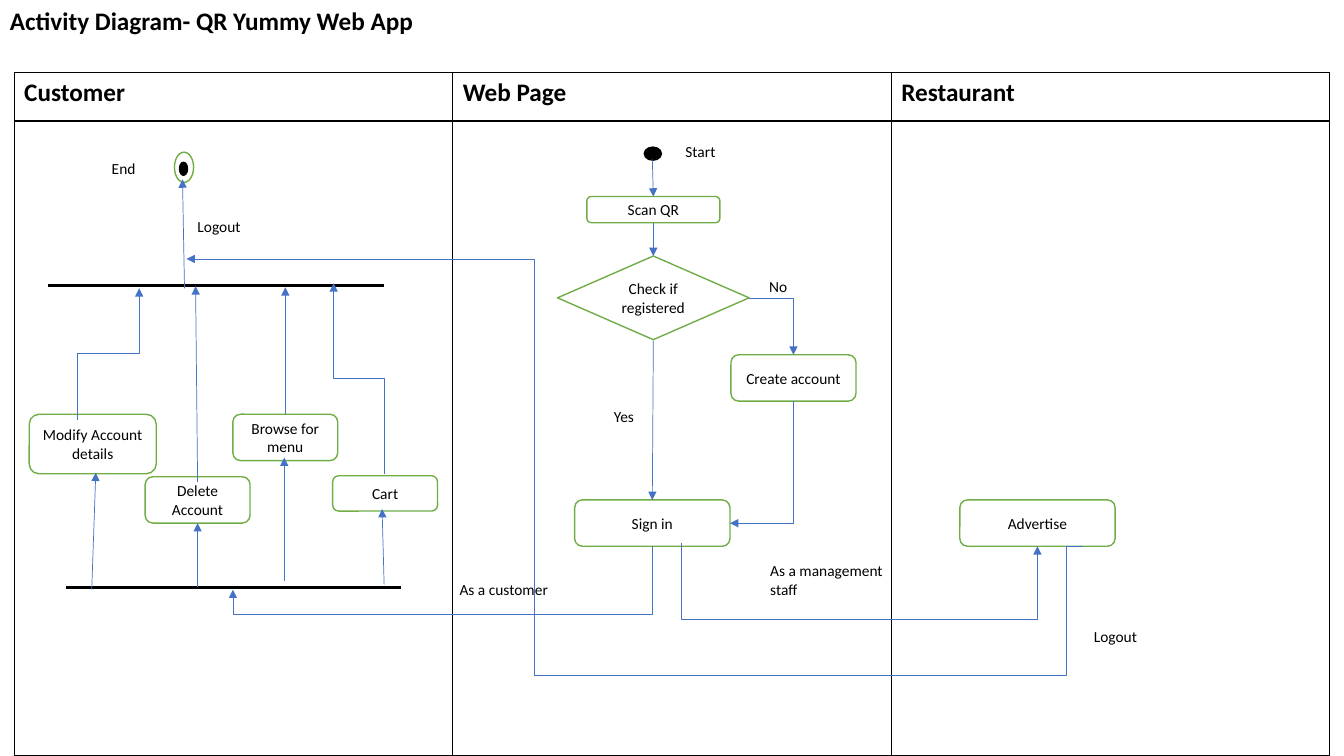
from lxml.etree import SubElement as Sub
from pptx import Presentation
from pptx.dml.color import RGBColor
from pptx.enum.shapes import MSO_CONNECTOR as Link, MSO_SHAPE as Kind
from pptx.enum.text import MSO_ANCHOR as Anchor, PP_ALIGN as Align
from pptx.oxml.ns import qn
from pptx.util import Inches, Pt

BLACK = RGBColor(0, 0, 0)
WHITE = RGBColor(255, 255, 255)
GREEN = RGBColor(0x70, 0xAD, 0x47)
BLUE = RGBColor(0x44, 0x72, 0xC4)
FONT = "Calibri"

TITLE = "Activity Diagram- QR Yummy Web App"
LANES = ["Customer", "Web Page", "Restaurant"]
LANE_W, ROWS = 4.35, [0.48, 6.3]

# text, left, top, width, height
STEPS = [
    ("Scan QR", 5.82, 1.95, 1.32, 0.26),
    ("Sign in", 5.7, 4.96, 1.54, 0.46),
    ("Create account", 7.25, 3.52, 1.24, 0.46),
    ("Modify Account details", 0.29, 4.11, 1.26, 0.59),
    ("Delete Account", 1.44, 4.73, 1.04, 0.46),
    ("Browse for menu", 2.31, 4.11, 1.04, 0.46),
    ("Cart", 3.3, 4.72, 1.04, 0.35),
    ("Advertise", 9.52, 4.96, 1.54, 0.46),
]
CHECK = ("Check if registered", 5.53, 2.54, 1.9, 0.83)

# box, fill, line
DOTS = [
    ((6.39, 1.46, 0.17, 0.13), BLACK, BLACK),
    ((1.73, 1.51, 0.19, 0.3), WHITE, GREEN),
    ((1.78, 1.61, 0.08, 0.13), BLACK, BLACK),
]
BARS = [(0.47, 2.81), (0.64, 5.8)]
BAR_W, BAR_H = 3.35, 0.05

LABELS = [
    ("Start", 6.7, 1.36, 0.96, 0.29),
    ("No", 7.53, 2.7, 0.38, 0.29),
    ("Yes", 5.99, 3.99, 0.45, 0.29),
    ("End", 1.01, 1.53, 0.45, 0.29),
    ("Logout", 1.86, 2.1, 0.82, 0.29),
    ("Logout", 10.75, 6.17, 0.82, 0.29),
    ("As a customer", 4.46, 5.71, 1.27, 0.29),
    ("As a management staff", 7.54, 5.52, 1.49, 0.47),
]

# start, end
ARROWS = [
    ((6.47, 1.58), (6.48, 1.95)),
    ((6.48, 2.21), (6.48, 2.54)),
    ((6.48, 3.38), (6.47, 4.96)),
    ((0.91, 5.85), (0.95, 4.69)),
    ((1.96, 5.82), (1.96, 5.19)),
    ((2.82, 5.76), (2.82, 4.54)),
    ((3.81, 5.8), (3.79, 5.05)),
    ((1.96, 4.78), (1.94, 2.84)),
    ((2.83, 4.11), (2.83, 2.85)),
    ((1.83, 2.86), (1.81, 1.78)),
]
# start, end, leaves vertically, where the middle leg lies (None: one corner), arrowhead
ELBOWS = [
    ((7.43, 2.96), (7.87, 3.52), False, None, True),
    ((7.87, 3.98), (7.24, 5.19), True, None, True),
    ((0.77, 4.17), (1.38, 2.86), True, 3.51, True),
    ((3.81, 4.7), (3.31, 2.81), True, 3.75, True),
    ((6.47, 5.42), (2.31, 5.85), True, 6.1, True),
    ((6.76, 5.39), (10.29, 5.42), True, 6.15, True),
    ((8.74, 6.7), (1.85, 2.57), False, 5.3, True),
    ((8.74, 6.7), (10.74, 5.42), False, 10.58, False),
]


def write(frame, text, size=11, bold=False, align=Align.LEFT):
    """Put one styled paragraph in a text frame."""
    frame.word_wrap = True
    para = frame.paragraphs[0]
    para.text, para.alignment = text, align
    font = para.font
    font.name, font.size, font.bold = FONT, Pt(size), bold
    font.color.rgb = BLACK


def shape(kind, box, fill, line, width=1, text=""):
    """Draw a filled preset shape with optional centred text."""
    item = slide.shapes.add_shape(kind, *map(Inches, box))
    item.shadow.inherit = False
    item.fill.solid()
    item.fill.fore_color.rgb = fill
    item.line.color.rgb = line
    item.line.width = Pt(width)
    if text:
        item.text_frame.vertical_anchor = Anchor.MIDDLE
        write(item.text_frame, text, align=Align.CENTER)


def label(text, box, **style):
    """Add a plain text box."""
    item = slide.shapes.add_textbox(*map(Inches, box))
    write(item.text_frame, text, **style)


def link(kind, start, end, head=True):
    """Add a thin blue connector, with an arrowhead at its end if asked."""
    item = slide.shapes.add_connector(kind, *map(Inches, start + end))
    item.line.color.rgb = BLUE
    item.line.width = Pt(0.5)
    if head:
        Sub(item.line._get_or_add_ln(), qn("a:tailEnd"), type="triangle")
    props = item._element.spPr
    Sub(props, qn("a:effectLst"))
    return props


def elbow(start, end, down, turn, head):
    """Add a bent connector; one that leaves vertically is turned by 90 degrees."""
    (x1, y1), (x2, y2) = start, end
    a, b = start, end
    if down:
        mx, my = (x1 + x2) / 2, (y1 + y2) / 2
        dx, dy = (x2 - x1) / 2, (y2 - y1) / 2
        a, b = (mx - dy, my + dx), (mx + dy, my - dx)
    props = link(Link.ELBOW, a, b, head)
    if down:
        props.find(qn("a:xfrm")).set("rot", str(90 * 60000))
    geom = props.find(qn("a:prstGeom"))
    if turn is None:
        geom.set("prst", "bentConnector2")
        return
    axis = int(down)
    part = (turn - start[axis]) / (end[axis] - start[axis])
    guides = geom.find(qn("a:avLst"))
    Sub(guides, qn("a:gd"), name="adj1", fmla=f"val {round(part * 100000)}")


def border(cell):
    """Draw a black one-point line on all sides of a cell."""
    props = cell._tc.get_or_add_tcPr()
    for spot, side in enumerate(("lnL", "lnR", "lnT", "lnB")):
        line = Sub(props, qn("a:" + side), w=str(Pt(1)))
        fill = Sub(line, qn("a:solidFill"))
        Sub(fill, qn("a:srgbClr"), val=str(BLACK))
        props.insert(spot, line)


def lanes():
    """Build the table of swim lanes."""
    size = (0.14, 0.72, LANE_W * len(LANES), sum(ROWS))
    table = slide.shapes.add_table(len(ROWS), len(LANES), *map(Inches, size)).table
    for row, high in zip(table.rows, ROWS):
        row.height = Inches(high)
    for col, name in enumerate(LANES):
        table.columns[col].width = Inches(LANE_W)
        write(table.cell(0, col).text_frame, name, 18, True)
    for cell in table.iter_cells():
        cell.fill.solid()
        cell.fill.fore_color.rgb = WHITE
        border(cell)


deck = Presentation()
deck.slide_width, deck.slide_height = Inches(13.33), Inches(7.5)
slide = deck.slides.add_slide(deck.slide_layouts[6])

lanes()
label(TITLE, (0, 0, 8.49, 0.4), size=18, bold=True)
for box, fill, line in DOTS:
    shape(Kind.OVAL, box, fill, line)
for text, *box in STEPS:
    shape(Kind.FLOWCHART_ALTERNATE_PROCESS, box, WHITE, GREEN, text=text)
shape(Kind.FLOWCHART_DECISION, CHECK[1:], WHITE, GREEN, text=CHECK[0])
for spot in BARS:
    shape(Kind.RECTANGLE, spot + (BAR_W, BAR_H), BLACK, WHITE, 1.5)
for start, end in ARROWS:
    link(Link.STRAIGHT, start, end)
for bend in ELBOWS:
    elbow(*bend)
for text, *box in LABELS:
    label(text, box)

deck.save("out.pptx")
